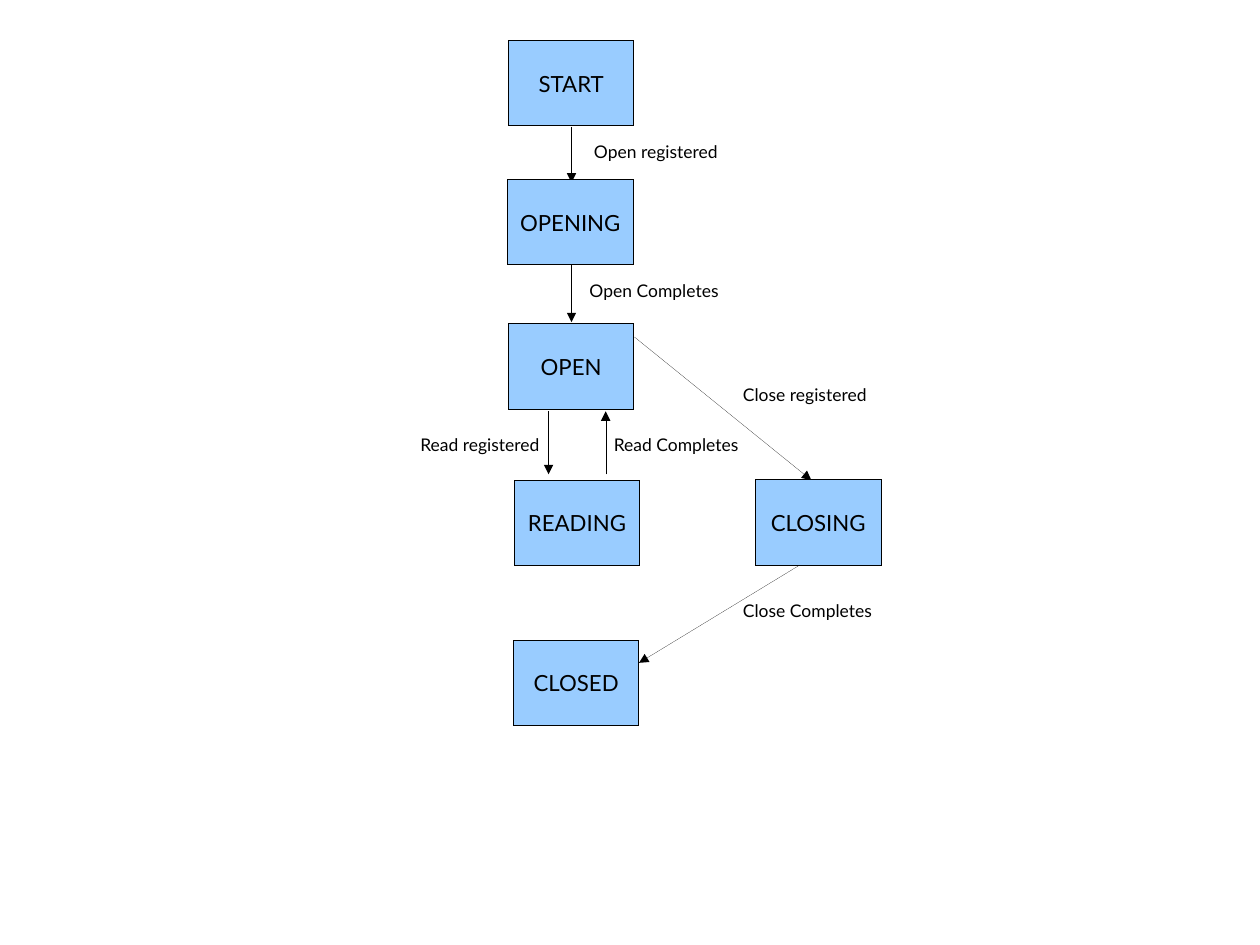
from dataclasses import dataclass

from lxml import etree
from pptx import Presentation
from pptx.dml.color import RGBColor
from pptx.enum.shapes import MSO_CONNECTOR, MSO_SHAPE
from pptx.enum.text import MSO_ANCHOR, MSO_AUTO_SIZE, PP_ALIGN
from pptx.oxml.ns import qn
from pptx.util import Cm, Pt

RECT = MSO_SHAPE.RECTANGLE
STRAIGHT = MSO_CONNECTOR.STRAIGHT
MIDDLE = MSO_ANCHOR.MIDDLE
CENTER = PP_ALIGN.CENTER
LEFT = PP_ALIGN.LEFT
GROW = MSO_AUTO_SIZE.SHAPE_TO_FIT_TEXT


@dataclass(frozen=True)
class Theme:
    font: str = "Lato"
    ink: RGBColor = RGBColor(0x00, 0x00, 0x00)
    state_fill: RGBColor = RGBColor(0x99, 0xCC, 0xFF)
    state_size: Pt = Pt(14)
    label_size: Pt = Pt(11)
    hairline: str = "0"


THEME = Theme()
STATE_W, STATE_H = 2.79, 1.9

STATES = [
    ("START", 11.3, 0.9),
    ("OPENING", 11.28, 3.99),
    ("OPEN", 11.3, 7.2),
    ("READING", 11.43, 10.67),
    ("CLOSING", 16.79, 10.66),
    ("CLOSED", 11.41, 14.23),
]

TRANSITIONS = [
    ((12.7, 2.82), (12.7, 4.06)),
    ((12.7, 5.89), (12.7, 7.16)),
    ((12.19, 9.14), (12.19, 10.54)),
    ((13.46, 10.54), (13.46, 9.14)),
    ((14.1, 7.49), (18.03, 10.67)),
    ((17.75, 12.57), (14.2, 14.73)),
]

LABELS = [
    ("Open registered", 12.95, 3.0, 4.95, 0.79),
    ("Open Completes", 12.85, 6.1, 4.95, 0.79),
    ("Read registered", 9.09, 9.53, 3.3, 1.32),
    ("Read Completes", 13.39, 9.53, 3.3, 1.32),
    ("Close registered", 16.26, 8.41, 3.68, 0.79),
    ("Close Completes", 16.26, 13.21, 3.68, 0.79),
]


def write(tf, text, size, align):
    tf.word_wrap = True
    tf.text = text
    p = tf.paragraphs[0]
    p.alignment = align
    font = p.runs[0].font
    font.name = THEME.font
    font.size = size
    font.color.rgb = THEME.ink


def style_line(line):
    line.color.rgb = THEME.ink
    ln = line._get_or_add_ln()
    ln.set("w", THEME.hairline)
    return ln


def add_state(s, name, x, y):
    sp = s.shapes.add_shape(RECT, Cm(x), Cm(y), Cm(STATE_W), Cm(STATE_H))
    sp.shadow.inherit = False
    sp.fill.solid()
    sp.fill.fore_color.rgb = THEME.state_fill
    style_line(sp.line)
    sp.text_frame.vertical_anchor = MIDDLE
    write(sp.text_frame, name, THEME.state_size, CENTER)


def add_transition(s, start, end):
    points = [Cm(v) for v in (*start, *end)]
    cx = s.shapes.add_connector(STRAIGHT, *points)
    ln = style_line(cx.line)
    etree.SubElement(ln, qn("a:tailEnd"), type="triangle")
    etree.SubElement(cx._element.spPr, qn("a:effectLst"))


def add_label(s, text, x, y, w, h):
    sp = s.shapes.add_textbox(Cm(x), Cm(y), Cm(w), Cm(h))
    write(sp.text_frame, text, THEME.label_size, LEFT)
    sp.text_frame.auto_size = GROW


def main():
    prs = Presentation()
    prs.slide_width, prs.slide_height = Cm(28), Cm(21)
    s = prs.slides.add_slide(prs.slide_layouts[6])
    for transition in TRANSITIONS:
        add_transition(s, *transition)
    for state in STATES:
        add_state(s, *state)
    for label in LABELS:
        add_label(s, *label)
    prs.save("out.pptx")


if __name__ == "__main__":
    main()
